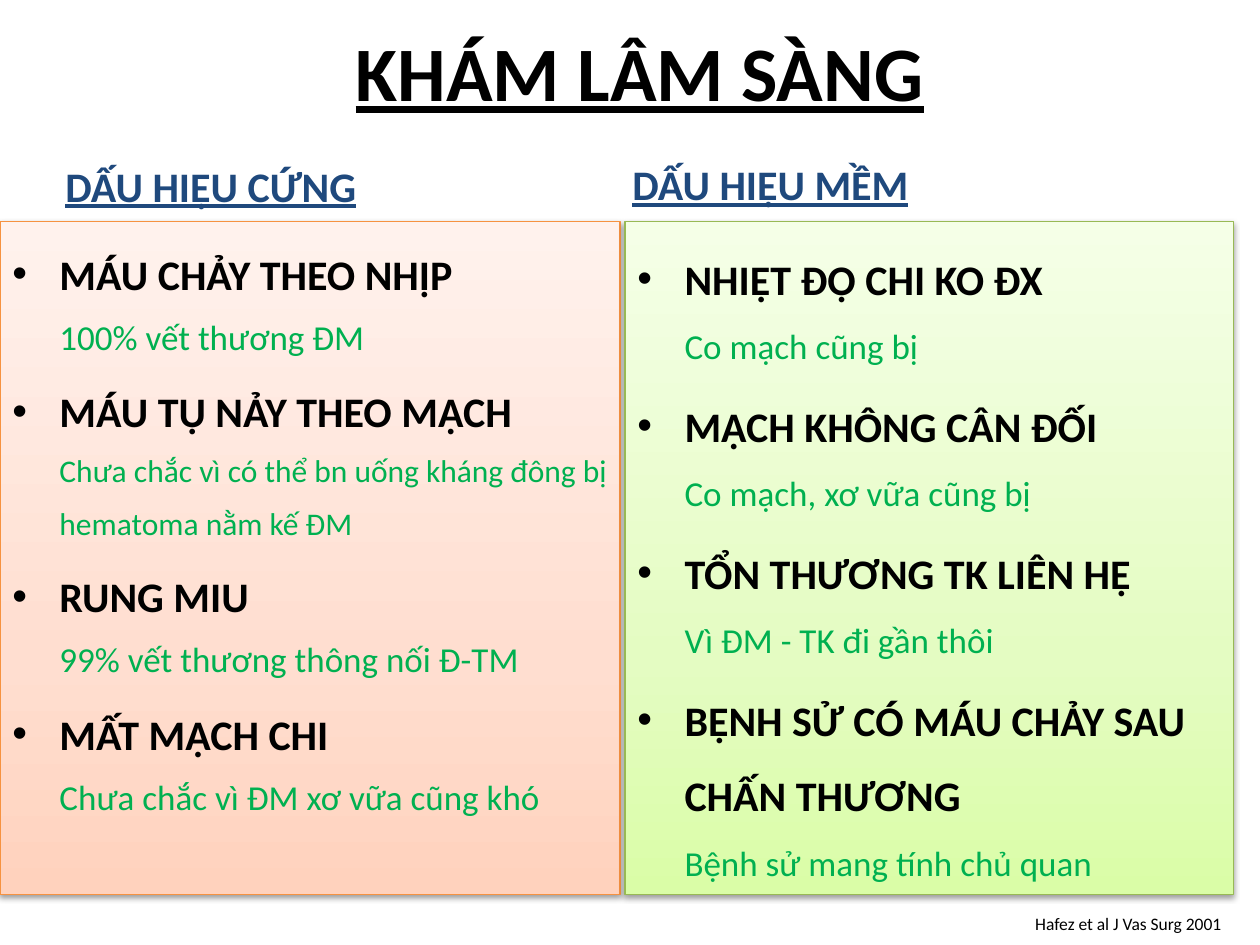
from dataclasses import dataclass

from lxml.etree import SubElement
from pptx import Presentation
from pptx.dml.color import RGBColor
from pptx.enum.shapes import MSO_SHAPE
from pptx.enum.text import MSO_ANCHOR, PP_ALIGN
from pptx.oxml.ns import qn
from pptx.util import Cm, Pt

FONT = "Calibri"
BLACK, NAVY, GREEN = "000000", "1F497D", "00B050"
PANEL_TOP, PANEL_HEIGHT = 4.47, 13.56
INDENT = 0.95


@dataclass
class Box:
    left: float
    top: float
    width: float
    height: float

    def lengths(self) -> tuple:
        return Cm(self.left), Cm(self.top), Cm(self.width), Cm(self.height)


@dataclass
class Label:
    text: str
    box: Box
    size: int
    color: str = BLACK
    strong: bool = False
    align: PP_ALIGN = PP_ALIGN.LEFT
    anchor: MSO_ANCHOR = MSO_ANCHOR.TOP
    wrap: bool = True


@dataclass
class Sign:
    name: str
    note: str
    note_size: int = 20


@dataclass
class Panel:
    heading: str
    heading_left: float
    heading_top: float
    left: float
    width: float
    gradient: tuple[str, str, str]
    border: str
    spacing: float
    signs: list[Sign]


def rgb(color: str) -> RGBColor:
    return RGBColor.from_string(color)


def child(parent, tag: str, **attrs):
    return SubElement(parent, qn(tag), {k: str(v) for k, v in attrs.items()})


def add_run(p, text: str, size: int, color: str, bold=False, underline=False) -> None:
    r = p.add_run()
    r.text = text
    r.font.name = FONT
    r.font.size = Pt(size)
    r.font.bold = bold
    r.font.underline = underline
    r.font.color.rgb = rgb(color)


def add_label(s, label: Label) -> None:
    tf = s.shapes.add_textbox(*label.box.lengths()).text_frame
    tf.word_wrap = label.wrap
    tf.vertical_anchor = label.anchor
    p = tf.paragraphs[0]
    p.alignment = label.align
    add_run(p, label.text, label.size, label.color, label.strong, label.strong)


def set_gradient(sp, colors: tuple[str, str, str]) -> None:
    sp.fill.gradient()
    sp.fill.gradient_angle = 90
    stops = sp.element.spPr.find(qn("a:gradFill")).find(qn("a:gsLst"))
    for stop in list(stops):
        stops.remove(stop)
    for pos, color in zip((0, 35, 100), colors):
        child(child(stops, "a:gs", pos=pos * 1000), "a:srgbClr", val=color)


def set_shadow(sp) -> None:
    sp.shadow.inherit = False
    effects = sp.element.spPr.find(qn("a:effectLst"))
    shadow = child(effects, "a:outerShdw", blurRad=Pt(3.1), dist=Pt(1.6),
                   dir=5400000, rotWithShape=0)
    child(child(shadow, "a:srgbClr", val=BLACK), "a:alpha", val=38000)


def add_sign(p, sign: Sign, spacing: float, first: bool) -> None:
    p.alignment = PP_ALIGN.LEFT
    p.line_spacing = spacing
    pPr = p._p.get_or_add_pPr()
    pPr.set("marL", str(Cm(INDENT)))
    pPr.set("indent", str(-Cm(INDENT)))
    if not first:
        child(child(pPr, "a:spcBef"), "a:spcPct", val=20000)
    child(pPr, "a:buFont", typeface="Arial")
    child(pPr, "a:buChar", char="•")
    add_run(p, sign.name, 24, BLACK, bold=True)
    p.add_line_break()
    add_run(p, sign.note, sign.note_size, GREEN)


def add_panel(s, panel: Panel) -> None:
    add_label(s, Label(panel.heading,
                       Box(panel.heading_left, panel.heading_top, 11.23, 1.78),
                       24, NAVY, strong=True, anchor=MSO_ANCHOR.BOTTOM))
    box = Box(panel.left, PANEL_TOP, panel.width, PANEL_HEIGHT)
    sp = s.shapes.add_shape(MSO_SHAPE.RECTANGLE, *box.lengths())
    set_gradient(sp, panel.gradient)
    sp.line.color.rgb = rgb(panel.border)
    sp.line.width = Pt(0.75)
    set_shadow(sp)
    tf = sp.text_frame
    tf.word_wrap = True
    tf.vertical_anchor = MSO_ANCHOR.TOP
    for i, sign in enumerate(panel.signs):
        p = tf.add_paragraph() if i else tf.paragraphs[0]
        add_sign(p, sign, panel.spacing, first=i == 0)


TITLE = Label("KHÁM LÂM SÀNG", Box(1.47, 0.33, 22.86, 2.21), 44, strong=True,
              align=PP_ALIGN.CENTER, anchor=MSO_ANCHOR.MIDDLE)
CITATION = Label("Hafez et al J Vas Surg 2001", Box(20.62, 18.29, 4.37, 0.69), 10,
                 wrap=False)
PANELS = [
    Panel("DẤU HIỆU CỨNG", 1.07, 2.59, 0, 12.5,
          ("FFD2BD", "FFDED0", "FFF2ED"), "F69240", 1.4, [
              Sign("MÁU CHẢY THEO NHỊP", "100% vết thương ĐM"),
              Sign("MÁU TỤ NẢY THEO MẠCH",
                   "Chưa chắc vì có thể bn uống kháng đông bị hematoma nằm kế ĐM", 18),
              Sign("RUNG MIU", "99% vết thương thông nối Đ-TM"),
              Sign("MẤT MẠCH CHI", "Chưa chắc vì ĐM xơ vữa cũng khó"),
          ]),
    Panel("DẤU HIỆU MỀM", 12.5, 2.56, 12.6, 12.27,
          ("DAFDA7", "E4FCC2", "F5FFE7"), "98B955", 1.5, [
              Sign("NHIỆT ĐỘ CHI KO ĐX", "Co mạch cũng bị"),
              Sign("MẠCH KHÔNG CÂN ĐỐI", "Co mạch, xơ vữa cũng bị"),
              Sign("TỔN THƯƠNG TK LIÊN HỆ", "Vì ĐM - TK đi gần thôi"),
              Sign("BỆNH SỬ CÓ MÁU CHẢY SAU CHẤN THƯƠNG", "Bệnh sử mang tính chủ quan"),
          ]),
]


def main() -> None:
    prs = Presentation()
    prs.slide_width, prs.slide_height = Cm(25.4), Cm(19.05)
    s = prs.slides.add_slide(prs.slide_layouts[6])
    add_label(s, TITLE)
    for panel in PANELS:
        add_panel(s, panel)
    add_label(s, CITATION)
    prs.save("out.pptx")


if __name__ == "__main__":
    main()
